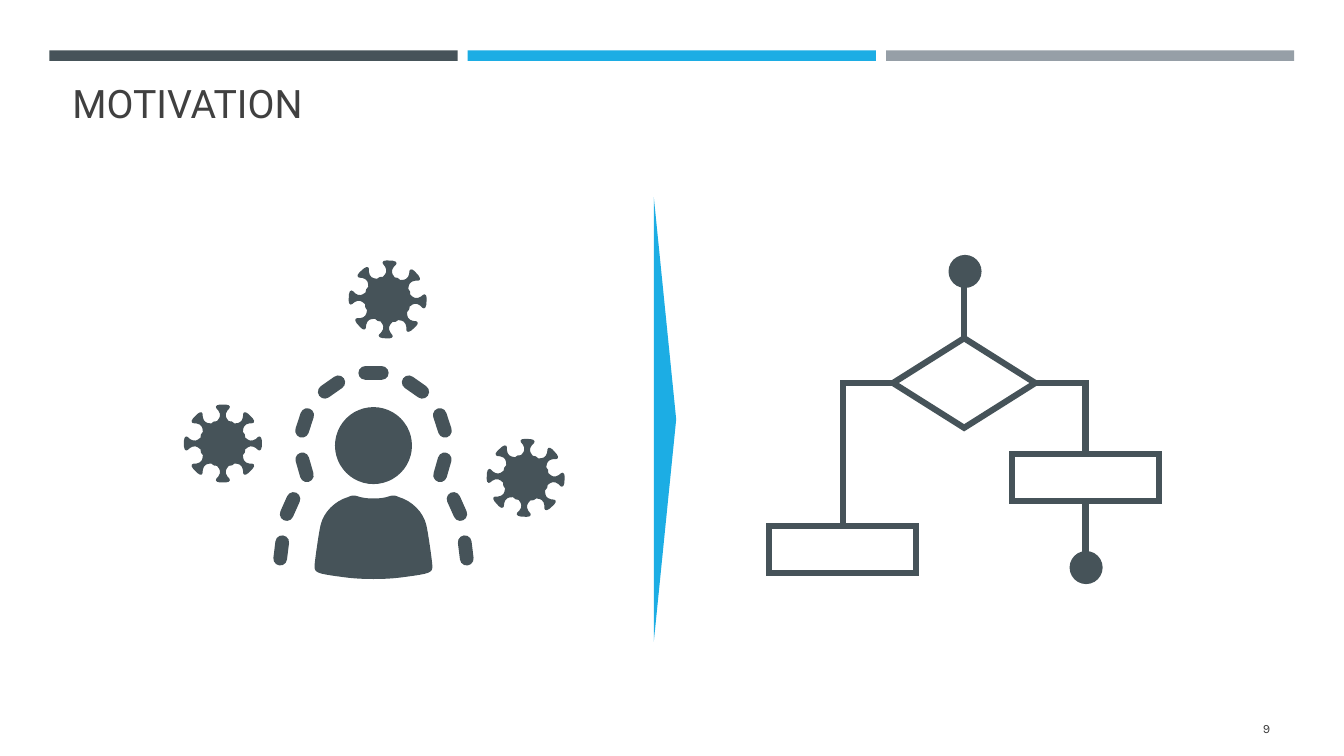
import math

from lxml import etree
from pptx import Presentation
from pptx.dml.color import RGBColor
from pptx.enum import shapes, text
from pptx.oxml.ns import qn
from pptx.util import Pt

SLATE, BLUE, GREY, INK = "465359", "1CADE4", "969FA7", "404040"
STROKE = 4.4


def color(hex_string):
    return RGBColor.from_string(hex_string)


def paint(shape, fill=None, line=None):
    """Set a flat fill and an optional sharp-cornered outline."""
    shape.shadow.inherit = False
    if fill:
        shape.fill.solid()
        shape.fill.fore_color.rgb = color(fill)
    else:
        shape.fill.background()
    if line:
        shape.line.color.rgb = color(line)
        shape.line.width = Pt(STROKE)
        miter = etree.SubElement(shape.line._get_or_add_ln(), qn("a:miter"))
        miter.set("lim", "800000")
    else:
        shape.line.fill.background()


def add_preset(slide, kind, left, top, width, height, fill=None, line=None, rotation=0):
    shape = slide.shapes.add_shape(kind, Pt(left), Pt(top), Pt(width), Pt(height))
    shape.rotation = rotation
    paint(shape, fill, line)
    return shape


def add_outline(slide, points, closed=True, fill=None, line=None):
    corners = [(Pt(x), Pt(y)) for x, y in points]
    builder = slide.shapes.build_freeform(*corners[0], scale=1.0)
    builder.add_line_segments(corners[1:], close=closed)
    paint(builder.convert_to_shape(), fill, line)


def add_line(slide, x1, y1, x2, y2):
    connector = slide.shapes.add_connector(
        shapes.MSO_CONNECTOR.STRAIGHT, Pt(x1), Pt(y1), Pt(x2), Pt(y2))
    connector.line.color.rgb = color(SLATE)
    connector.line.width = Pt(STROKE)
    etree.SubElement(connector._element.spPr, qn("a:effectLst"))


def add_text(slide, wording, box, *, size, font, anchor, align=text.PP_ALIGN.LEFT):
    frame = slide.shapes.add_textbox(*map(Pt, box)).text_frame
    frame.word_wrap = True
    frame.vertical_anchor = anchor
    paragraph = frame.paragraphs[0]
    paragraph.text = wording
    paragraph.alignment = align
    paragraph.font.size = Pt(size)
    paragraph.font.name = font
    paragraph.font.color.rgb = color(INK)


def curve(start, control1, control2, end, steps=8):
    """Points along a cubic curve, without its start."""
    for step in range(1, steps + 1):
        t = step / steps
        weights = ((1 - t) ** 3, 3 * t * (1 - t) ** 2, 3 * t * t * (1 - t), t ** 3)
        yield tuple(sum(weight * point[axis] for weight, point in
                        zip(weights, (start, control1, control2, end)))
                    for axis in (0, 1))


def header(slide, left, top, width):
    # Three bars with equal gaps
    gap = 7.2
    bar_width = (width - 2 * gap) / 3
    for index, fill in enumerate((SLATE, BLUE, GREY)):
        add_preset(slide, shapes.MSO_SHAPE.RECTANGLE,
                   left + index * (bar_width + gap), top, bar_width, 7.5, fill)
    add_text(slide, "MOTIVATION", (left + 9.4, top + 10.8, 828, 46.8),
             size=28, font="Roboto", anchor=text.MSO_ANCHOR.BOTTOM)


def virus(slide, center_x, center_y, tilt):
    # Half a spike as (distance from center, half width), mirrored and repeated
    half_spike = [(16, 4.2), (18, 2.7), (19.5, 2.1), (21.5, 2.2), (23.5, 3.2),
                  (25.2, 4.7), (26.3, 5), (27.3, 4.2), (27.8, 2.2)]
    spike = [(reach, -side) for reach, side in half_spike] + half_spike[::-1]
    points = []
    for index in range(8):
        angle = math.radians(45 * index + tilt)
        for reach, side in spike + [(15.7, 6.4)]:
            points.append((center_x + reach * math.cos(angle) - side * math.sin(angle),
                           center_y + reach * math.sin(angle) + side * math.cos(angle)))
    add_outline(slide, points, fill=SLATE)


def shielded_person(slide, left, top):
    axis = left + 135
    for x, y, tilt in ((145.1, 28.1, 3), (27.4, 131, 0), (243.7, 155.5, 3)):
        virus(slide, left + x, top + y, tilt)

    # Dashed shield, symmetric about the axis
    dashes = [(0, 80.6, 90)]
    for offset, y, angle in ((30, 90.7, 55), (49.2, 116.3, 18), (49.2, 148, -16),
                             (59.6, 176, 24), (65.9, 207.4, 7)):
        dashes += [(-offset, y, angle), (offset, y, -angle)]
    for offset, y, angle in dashes:
        dash = add_preset(slide, shapes.MSO_SHAPE.ROUNDED_RECTANGLE,
                          axis + offset - 4.9, top + y - 10.8, 9.8, 21.6,
                          SLATE, rotation=angle)
        dash.adjustments[0] = 0.5

    # Head
    add_preset(slide, shapes.MSO_SHAPE.OVAL, axis - 27.5, top + 105, 55, 55, SLATE)

    # Body: right half, then its mirror
    half = [(0, 2.5)]
    for segment in (
        ((3.6, 2.5), (6.5, 2.2), (9.7, 1.4)),
        ((14, 0), (14.8, 0), (18, 1.4)),
        ((27.7, 4.3), (35.6, 12.2), (37.8, 21.6)),
        ((38.5, 23.8), (42.1, 47.5), (42.1, 51.1)),
        ((42.1, 55.4), (40, 56.2), (24.1, 58.3)),
        ((15.8, 59.6), (7.9, 60), (0, 60)),
    ):
        half += curve(half[-1], *segment)
    outline = half + [(-x, y) for x, y in half[-2:0:-1]]
    add_outline(slide, [(axis + x, top + 167.8 + y) for x, y in outline], fill=SLATE)


def divider(slide, left, top, width, height):
    # The triangle is laid out upright, then turned about its center
    add_preset(slide, shapes.MSO_SHAPE.ISOSCELES_TRIANGLE,
               left + (width - height) / 2, top + (height - width) / 2,
               height, width, BLUE, rotation=90)


def flowchart(slide, left, top):
    axis, left_branch, right_branch = left + 141.5, left + 54.7, left + 228.2
    decision_y, end_y = top + 91.4, top + 223.2

    # Connecting lines
    add_line(slide, axis, top + 11.5, axis, top + 59.8)
    add_line(slide, right_branch, top + 175.2, right_branch, end_y)
    for tip, branch, bottom in ((axis - 50.8, left_branch, 193.7),
                                (axis + 50.8, right_branch, 141.8)):
        add_outline(slide, [(tip, decision_y), (branch, decision_y),
                            (branch, top + bottom)], closed=False, line=SLATE)

    # Decision and process boxes
    add_preset(slide, shapes.MSO_SHAPE.DIAMOND, axis - 50.8, decision_y - 32,
               101.6, 64, line=SLATE)
    for branch, box_top in ((left_branch, 193.7), (right_branch, 141.8)):
        add_preset(slide, shapes.MSO_SHAPE.RECTANGLE, branch - 52.5, top + box_top,
                   105, 33.6, line=SLATE)

    # Start and end nodes
    for x, y in ((axis + 0.6, top + 11.7), (right_branch + 0.4, end_y)):
        add_preset(slide, shapes.MSO_SHAPE.OVAL, x - 11.8, y - 11.8, 23.6, 23.6, SLATE)


def main():
    presentation = Presentation()
    presentation.slide_width, presentation.slide_height = Pt(960), Pt(540)
    slide = presentation.slides.add_slide(presentation.slide_layouts[6])
    header(slide, 35.3, 36, 889.2)
    shielded_person(slide, 131.8, 185.8)
    divider(slide, 467, 140.8, 16, 317.5)
    flowchart(slide, 547.2, 182.2)
    add_text(slide, "9", (831.6, 506.2, 82.8, 28.8), size=9, font="Karla",
             anchor=text.MSO_ANCHOR.MIDDLE, align=text.PP_ALIGN.RIGHT)
    presentation.save("out.pptx")


if __name__ == "__main__":
    main()
